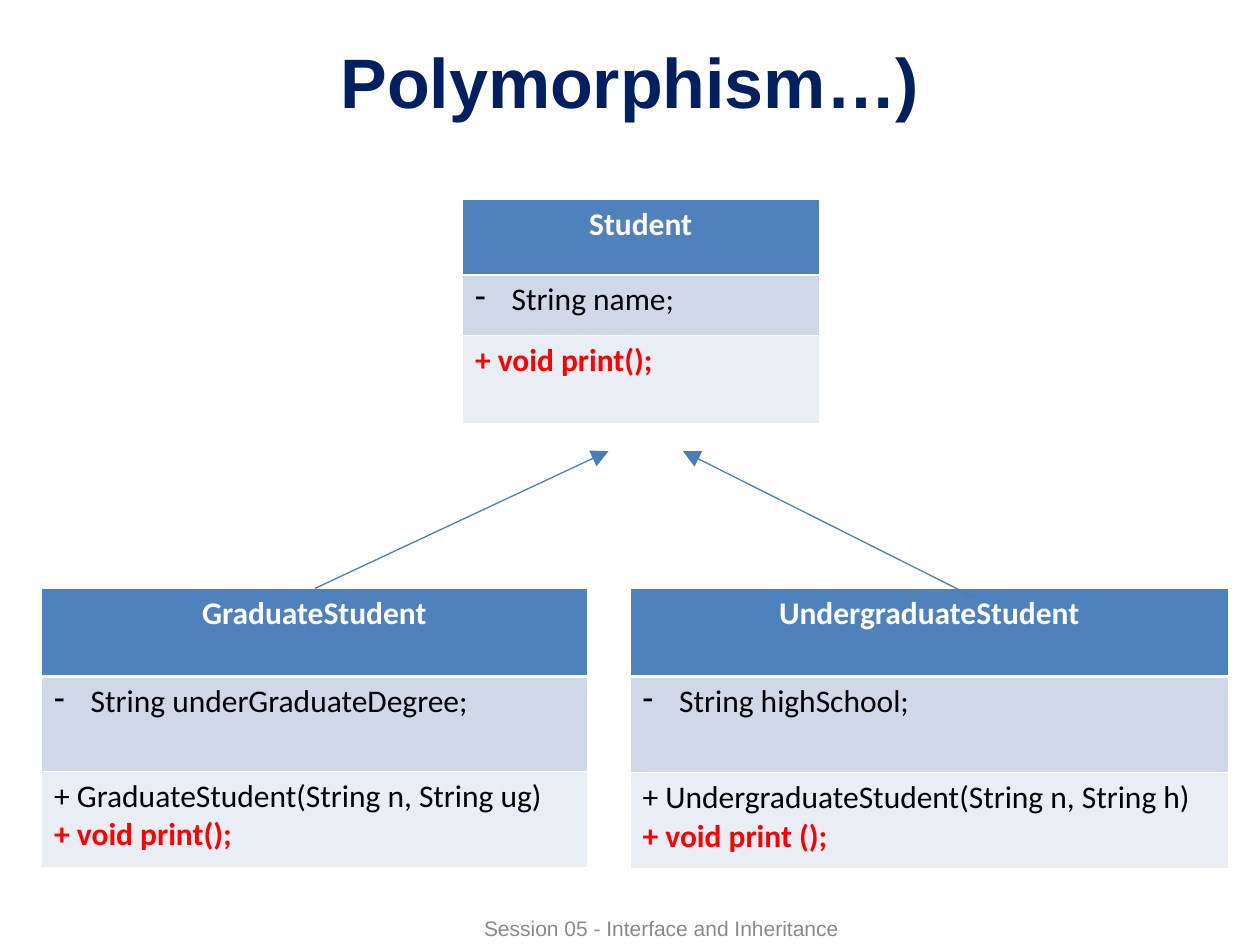
from lxml.etree import SubElement
from pptx import Presentation
from pptx.dml.color import RGBColor
from pptx.enum.shapes import MSO_CONNECTOR
from pptx.enum.text import MSO_ANCHOR, PP_ALIGN
from pptx.oxml.ns import qn
from pptx.util import Inches, Pt

COLORS = {
    "title": "002060", "footer": "898989", "header": "4F81BD",
    "fields": "D0D8E8", "methods": "E9EDF4", "white": "FFFFFF",
    "black": "000000", "print": "FF0000", "arrow": "4A7EBB",
}
BULLET_INDENT = Inches(0.29)


def color(name):
    return RGBColor.from_string(COLORS[name])


def style(paragraph, text, font, size, color_name, bold=False, align=PP_ALIGN.LEFT):
    paragraph.text = text
    paragraph.alignment = align
    paragraph.font.name = font
    paragraph.font.size = Pt(size)
    paragraph.font.bold = bold
    paragraph.font.color.rgb = color(color_name)


prs = Presentation()
prs.slide_width, prs.slide_height = Inches(10), Inches(7.5)
slide = prs.slides.add_slide(prs.slide_layouts[6])

# Footer and title
for text, box, size, color_name, bold in [
    ("Session 05 - Interface and Inheritance", (2.25, 7.23, 6, 0.27), 12, "footer", False),
    ("Polymorphism…)", (0.5, 0.25, 9, 0.78), 40, "title", True),
]:
    frame = slide.shapes.add_textbox(*map(Inches, box)).text_frame
    frame.word_wrap = True
    frame.vertical_anchor = MSO_ANCHOR.MIDDLE
    style(frame.paragraphs[0], text, "Arial", size, color_name, bold, PP_ALIGN.CENTER)

# Class boxes: name, field, methods (the last one is the overridden print)
classes = [
    ((3.67, 1.58), 2.83, (0.6, 0.48, 0.7),
     "Student", "String name;", ["+ void print();"]),
    ((0.33, 4.67), 4.33, (0.7, 0.75, 0.76),
     "GraduateStudent", "String underGraduateDegree;",
     ["+ GraduateStudent(String n, String ug)", "+ void print();"]),
    ((5, 4.67), 4.75, (0.7, 0.76, 0.76),
     "UndergraduateStudent", "String highSchool;",
     ["+ UndergraduateStudent(String n, String h)", "+ void print ();"]),
]
for (left, top), width, heights, class_name, field, methods in classes:
    table = slide.shapes.add_table(3, 1, Inches(left), Inches(top), Inches(width),
                                   Inches(sum(heights))).table
    cells = [table.cell(row, 0) for row in range(3)]
    for row, (cell, height, fill) in enumerate(
            zip(cells, heights, ("header", "fields", "methods"))):
        table.rows[row].height = Inches(height)
        for side in "LRTB":
            thick = (row, side) in [(0, "B"), (1, "T")]
            border = SubElement(cell._tc.get_or_add_tcPr(), qn(f"a:ln{side}"),
                                w=str(Pt(1.47 if thick else 0.45)))
            border_fill = SubElement(border, qn("a:solidFill"))
            SubElement(border_fill, qn("a:srgbClr"), val=COLORS["white"])
        cell.fill.solid()
        cell.fill.fore_color.rgb = color(fill)

    name_cell, field_cell, method_cell = cells
    style(name_cell.text_frame.paragraphs[0], class_name, "Calibri", 18, "white",
          True, PP_ALIGN.CENTER)

    field_line = field_cell.text_frame.paragraphs[0]
    bullet_props = field_line._p.get_or_add_pPr()
    bullet_props.set("marL", str(BULLET_INDENT))
    bullet_props.set("indent", str(-BULLET_INDENT))
    bullet_color = SubElement(bullet_props, qn("a:buClr"))
    SubElement(bullet_color, qn("a:srgbClr"), val=COLORS["black"])
    SubElement(bullet_props, qn("a:buChar"), char="-")
    style(field_line, field, "Calibri", 18, "black")

    method_frame = method_cell.text_frame
    for i, method in enumerate(methods):
        method_line = method_frame.add_paragraph() if i else method_frame.paragraphs[0]
        overridden = method == methods[-1]
        style(method_line, method, "Calibri", 18,
              "print" if overridden else "black", overridden)

# Inheritance arrows from the subclasses up to Student
for start, end in [((2.5, 4.67), (4.83, 3.58)), ((7.75, 4.75), (5.42, 3.58))]:
    arrow = slide.shapes.add_connector(MSO_CONNECTOR.STRAIGHT, *map(Inches, start + end))
    arrow.line.color.rgb = color("arrow")
    arrow.line.width = Pt(0.75)
    SubElement(arrow.line._get_or_add_ln(), qn("a:tailEnd"), type="triangle", w="lg", len="lg")
    SubElement(arrow._element.spPr, qn("a:effectLst"))

prs.save("out.pptx")
